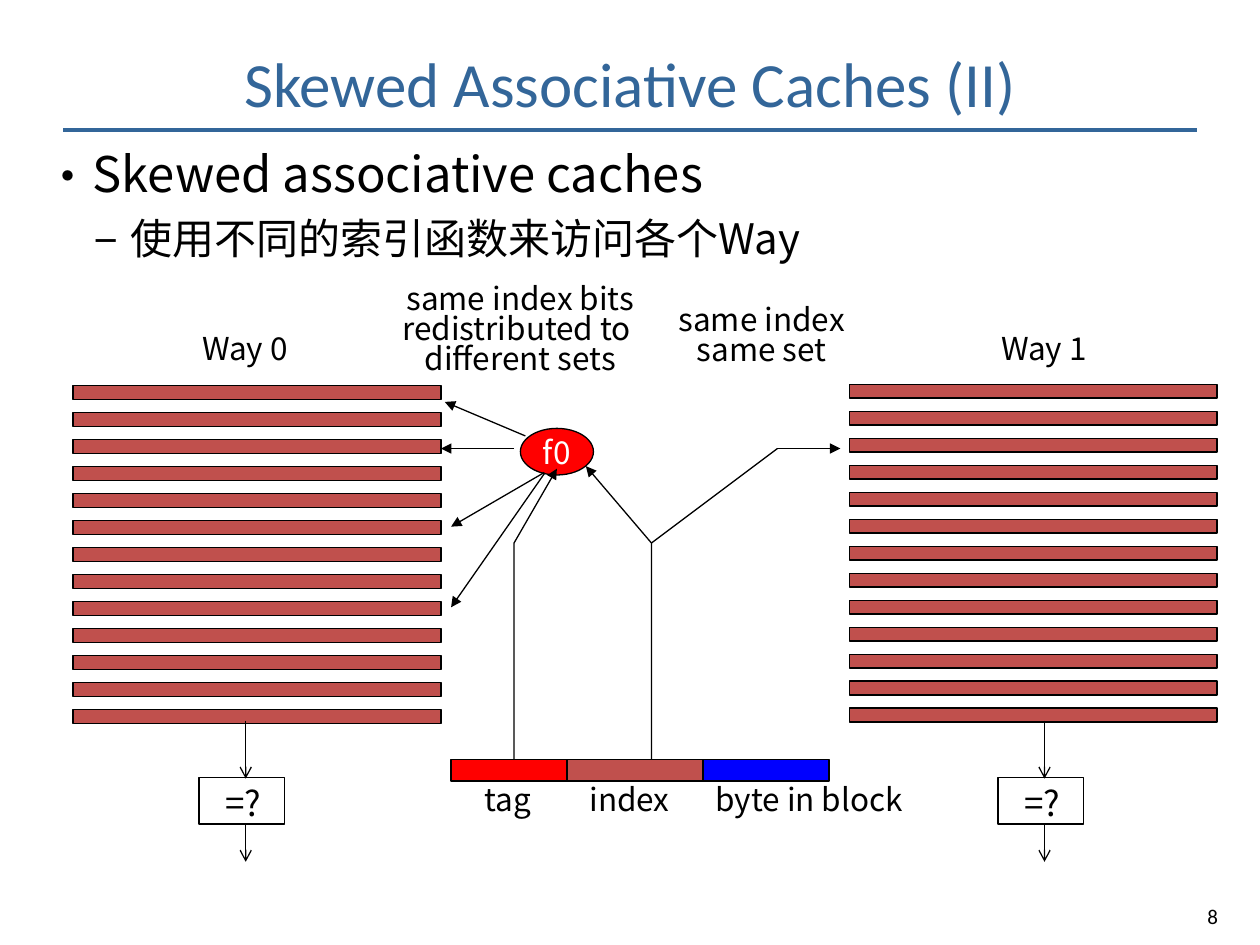
from pptx import Presentation
from pptx import util as u
from pptx.dml import color
from pptx.enum import shapes, text
from pptx.oxml import ns
from lxml import etree

HUES = {"title": "336699", "ink": "000000", "white": "FFFFFF",
        "tag": "FF0000", "row": "C0504D", "byte": "0000FF"}
SANS, CJK = "Calibri", "Noto Sans CJK SC"
MID, TOP = text.MSO_ANCHOR.MIDDLE, text.MSO_ANCHOR.TOP
LEFT, CENTER = text.PP_ALIGN.LEFT, text.PP_ALIGN.CENTER
BOX, OVAL = shapes.MSO_SHAPE.RECTANGLE, shapes.MSO_SHAPE.OVAL


def rgb(name):
    """Return the named colour."""
    return color.RGBColor.from_string(HUES[name])


def node(up, tag, **attrs):
    """Append a drawing element to its parent."""
    return etree.SubElement(up, ns.qn("a:" + tag), attrs)


def add_run(para, words, size, font=CJK, hue="ink"):
    """Add one styled run to a paragraph."""
    run = para.add_run()
    run.text = words
    run.font.size = u.Pt(size)
    run.font.name = font
    run.font.color.rgb = rgb(hue)
    node(run._r.get_or_add_rPr(), "ea", typeface=font)


def add_text(slide, box, lines, size, font=CJK, hue="ink", align=CENTER,
             anchor=TOP, wrap=False, space=None):
    """Place a text box with one paragraph for each line."""
    frame = slide.shapes.add_textbox(*map(u.Inches, box)).text_frame
    frame.word_wrap = wrap
    frame.vertical_anchor = anchor
    for i, line in enumerate(lines):
        para = frame.add_paragraph() if i else frame.paragraphs[0]
        para.alignment = align
        para.line_spacing = space
        add_run(para, line, size, font, hue)
    return frame


def add_block(host, kind, box, fill=None):
    """Place a thinly outlined shape."""
    shape = host.shapes.add_shape(kind, *map(u.Inches, box))
    shape.shadow.inherit = False
    if fill:
        shape.fill.solid()
        shape.fill.fore_color.rgb = rgb(fill)
    else:
        shape.fill.background()
    shape.line.color.rgb = rgb("ink")
    shape.line.width = u.Pt(0.75)
    return shape


def add_head(shape, head):
    """Put an arrowhead at the end of a line."""
    node(shape.get_or_add_ln(), "tailEnd", type=head)


def add_line(slide, start, end, head=None, hue="ink", width=0.75):
    """Draw a straight line between two points."""
    line = slide.shapes.add_connector(
        shapes.MSO_CONNECTOR.STRAIGHT, *map(u.Inches, start + end))
    line.line.color.rgb = rgb(hue)
    line.line.width = u.Pt(width)
    if head:
        add_head(line, head)
    node(line._element.spPr, "effectLst")


def add_bend(slide, points):
    """Draw a bent arrow through the points."""
    spots = [tuple(map(u.Inches, point)) for point in points]
    form = slide.shapes.build_freeform(*spots[0])
    form.add_line_segments(spots[1:], close=False)
    bend = form.convert_to_shape()
    bend.shadow.inherit = False
    bend.fill.background()
    bend.line.color.rgb = rgb("ink")
    bend.line.width = u.Pt(0.75)
    add_head(bend, "triangle")


def add_title(slide, box):
    """Place the title and its rule."""
    add_text(slide, box, ["Skewed Associative Caches (II)"], 36, SANS,
             "title", anchor=MID, wrap=True)
    x, w = box[0], box[2]
    add_line(slide, (x, 1.03), (x + w, 1.03), hue="title", width=2)


def add_body(slide, box):
    """Place the two bullet levels."""
    frame = add_text(slide, box, ["Skewed associative caches"], 28,
                     align=LEFT, wrap=True)
    sub = frame.add_paragraph()
    sub.level = 1
    sub.space_before = sub.space_after = u.Pt(6)
    add_run(sub, "使用不同的索引函数来访问各个Way", 24)
    marks = (("•", 0.38, -0.38), ("−", 0.69, -0.29))
    for para, (mark, left, hang) in zip(frame.paragraphs, marks):
        props = para._p.get_or_add_pPr()
        props.set("marL", str(u.Inches(left)))
        props.set("indent", str(u.Inches(hang)))
        node(props, "buFont", typeface=CJK)
        node(props, "buChar", char=mark)


def add_way(slide, box, name, mid):
    """Place one way: name, rows of the cache and comparator."""
    x, y, w, h = box
    count, thick = 13, 0.11
    step = (h - thick) / (count - 1)
    add_text(slide, (mid - 0.48, 2.56, 0.95, 0.4), [name], 18, anchor=MID)
    group = slide.shapes.add_group_shape()
    for i in range(count):
        add_block(group, BOX, (x, y + i * step, w, thick), "row")
    add_block(slide, BOX, (mid - 0.37, 6.17, 0.68, 0.37))
    add_text(slide, (mid - 0.26, 6.15, 0.55, 0.44), ["=?"], 20, align=LEFT)
    for top, end in ((5.72, 6.18), (6.55, 6.84)):
        add_line(slide, (mid, top), (mid, end), "arrow")


def add_address(slide, box):
    """Place the address fields and their labels."""
    x, y, w, h = box
    fields = ((0, 2.75, "tag"), (0.92, 1.08, "row"), (2, 1, "byte"))
    for left, wide, hue in fields:
        add_block(slide, BOX, (x + left, y, wide, h), hue)
    frame = add_text(slide, (x, y + 0.11, 3.83, 0.71),
                     ["tag\tindex\tbyte in block"], 18, align=LEFT, wrap=True)
    props = frame.paragraphs[0]._p.get_or_add_pPr()
    props.set("indent", str(u.Inches(0.17)))
    tabs = node(props, "tabLst")
    for stop in (1.1, 2.25):
        node(tabs, "tab", pos=str(u.Inches(stop)), algn="l")


def add_hash(slide, box):
    """Place the index function with its arrows and notes."""
    oval = add_block(slide, OVAL, box, "tag")
    frame = oval.text_frame
    frame.word_wrap = False
    frame.vertical_anchor = MID
    frame.paragraphs[0].alignment = CENTER
    add_run(frame.paragraphs[0], "f0", 18, hue="white")
    arrows = (((4.32, 3.75), (3.58, 4.18)), ((4.17, 3.46), (3.53, 3.19)),
              ((4.32, 3.76), (3.58, 4.82)), ((4.08, 3.56), (3.5, 3.56)),
              ((6.17, 3.56), (6.67, 3.56)))
    for start, end in arrows:
        add_line(slide, start, end, "triangle")
    add_line(slide, (5.17, 4.31), (6.17, 3.56))
    for x, tip in ((4.08, (4.42, 3.72)), (5.17, (4.65, 3.7))):
        add_bend(slide, [(x, 6.03), (x, 4.31), tip])
    add_text(slide, (5.26, 2.39, 1.57, 0.59), ["same index", "same set"],
             18, space=0.8)
    add_text(slide, (3.03, 2.22, 2.2, 0.83),
             ["same index bits", "redistributed to ", "different sets"],
             18, space=0.8)


def main():
    """Build the slide and save it."""
    deck = Presentation()
    deck.slide_width, deck.slide_height = u.Inches(10), u.Inches(7.5)
    slide = deck.slides.add_slide(deck.slide_layouts[6])
    add_title(slide, (0.5, 0.22, 9, 0.87))
    add_body(slide, (0.25, 1.09, 9.42, 1.1))
    add_hash(slide, (4.13, 3.4, 0.58, 0.37))
    add_address(slide, (3.58, 6.03, 3, 0.17))
    add_way(slide, (0.58, 3.06, 2.92, 2.68), "Way 0", 1.95)
    add_way(slide, (6.74, 3.05, 2.92, 2.68), "Way 1", 8.29)
    add_text(slide, (9.25, 7.12, 0.75, 0.23), ["8"], 12, SANS, wrap=True)
    deck.save("out.pptx")


if __name__ == "__main__":
    main()
